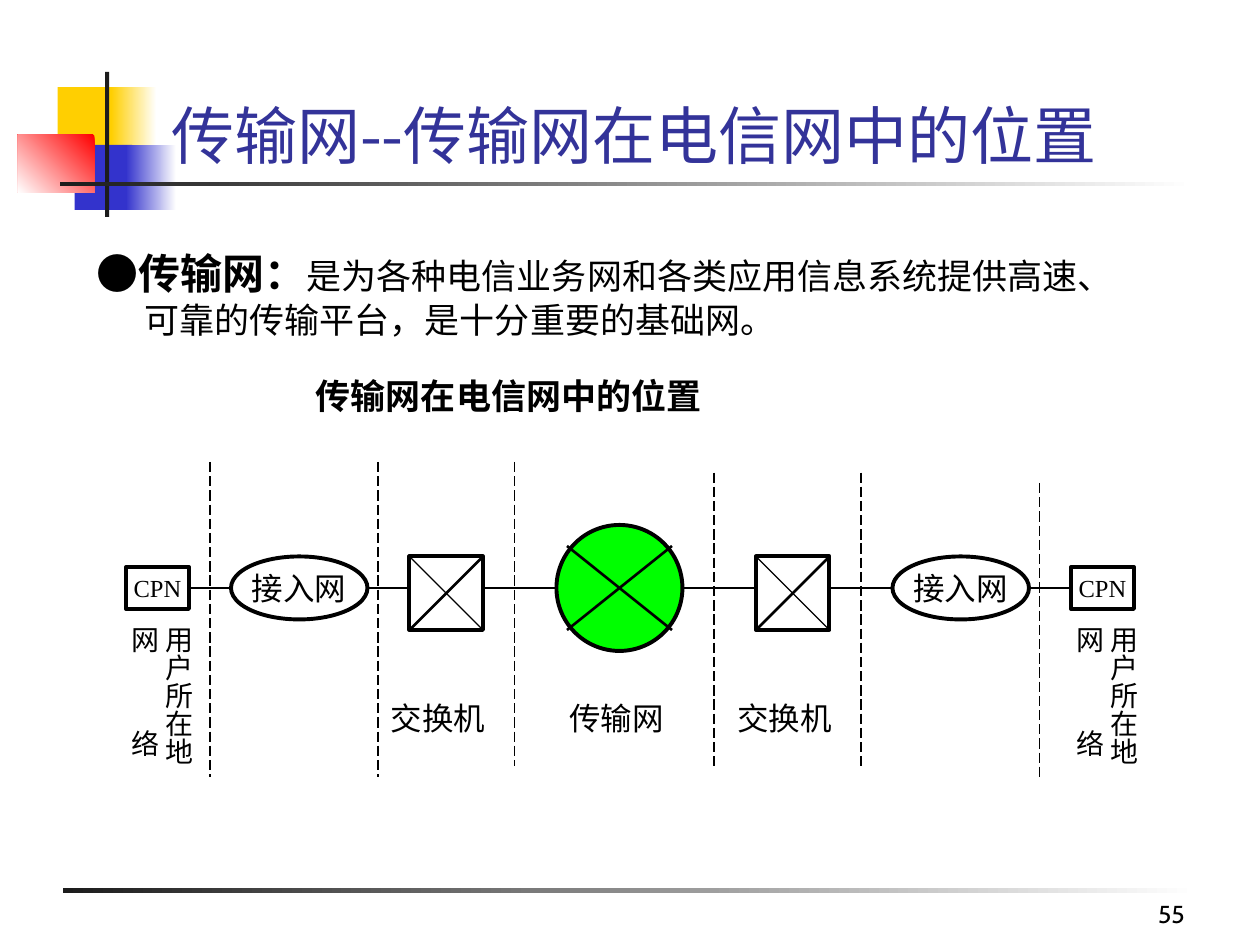
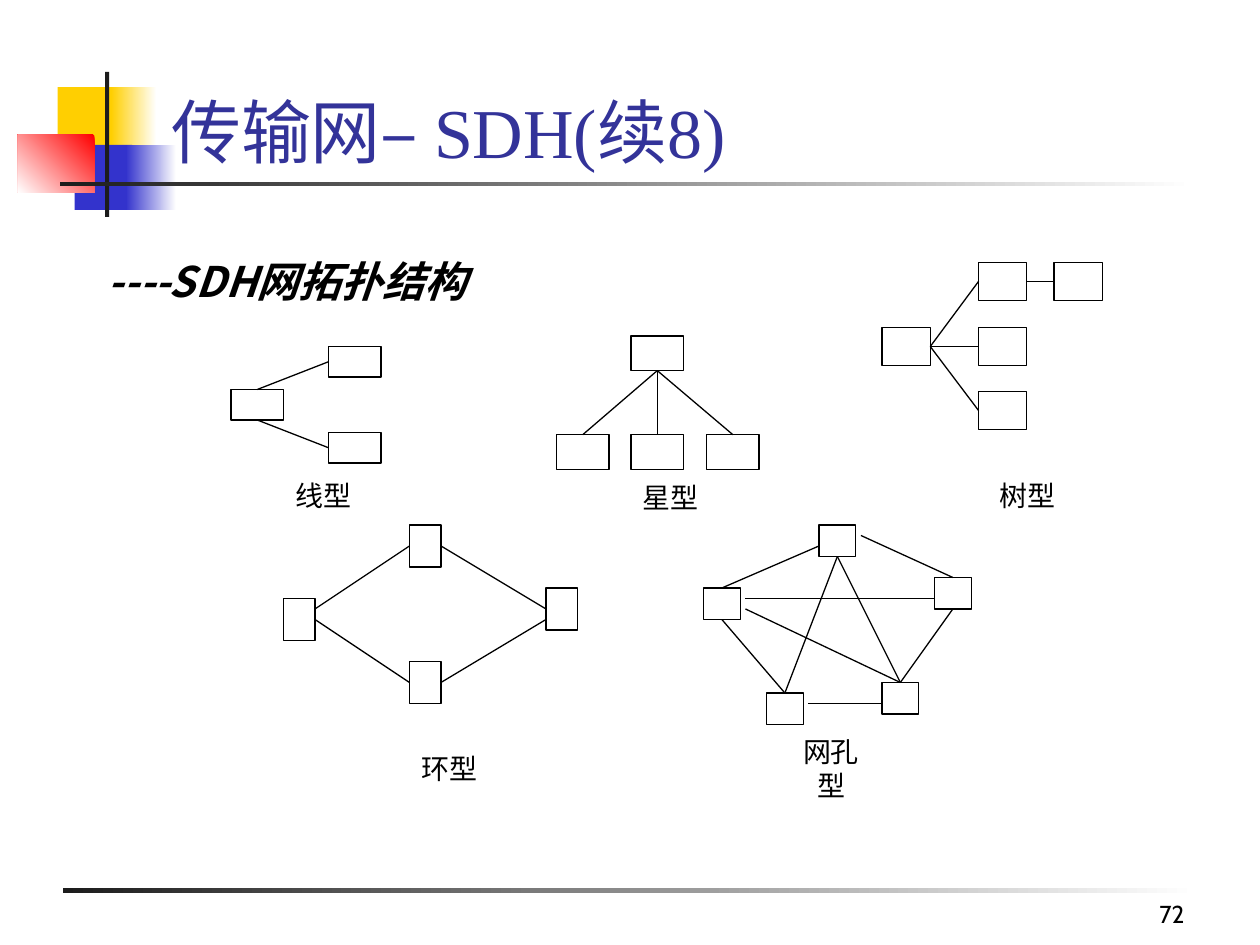
from dataclasses import dataclass
from pptx import Presentation
from pptx.dml.color import RGBColor as RGB
from pptx.enum.dml import MSO_LINE
from pptx.enum.shapes import MSO_CONNECTOR as CXN, MSO_SHAPE as SHP
from pptx.enum.text import MSO_ANCHOR as ANC, MSO_AUTO_SIZE as FIT, PP_ALIGN as ALN
from pptx.oxml.ns import qn
from pptx.util import Inches, Pt


@dataclass(frozen=True)
class Theme:
    ink: str = "000000"
    paper: str = "FFFFFF"
    title: str = "333399"
    gold: str = "FFCF01"
    blue: str = "3333CC"
    red: str = "FF0000"
    bar: str = "1C1C1C"
    green: str = "00FF00"
    han: str = "Noto Sans CJK SC"
    roman: str = "Times New Roman"
    sans: str = "Arial"
    foot: str = "Cabin"
    head: int = 24
    body: int = 20
    label: int = 18
    small: int = 16
    tiny: int = 14
    thin: float = 0.75
    mid: float = 1.5
    thick: float = 2.25


T = Theme()

# All lengths are cells of a 120 x 90 grid on the slide.
COLS, ROWS = 120, 90
WIDE, HIGH = 10, 7.5

# place, first colour, last colour (or None), angle
DECOR = [
    ((5.5, 8.3, 5.8, 6.2), T.gold, None, 0),
    ((10.6, 8.3, 4.3, 6.2), T.paper, T.gold, 180),
    ((7.1, 13.8, 5.5, 6.2), T.blue, None, 0),
    ((12, 13.8, 4.8, 6.2), T.paper, T.blue, 180),
    ((1.7, 12.85, 7.3, 5.5), T.red, T.paper, 225),
    ((10, 6.85, 0.4, 13.8), T.bar, None, 0),
    ((5.75, 17.3, 108, 0.4), T.paper, T.bar, 180),
    ((6, 84.6, 108, 0.45), T.paper, T.bar, 180),
]
TITLE = (15.1, 3, 102.2, 14)
BODY = (8, 23, 102, 54)
NUMBER = (89, 83, 25, 6)

# Slide one: the chain from user to user along one axis
AXIS = 56
SIZES = {"cpn": (54, 6, 4), "access": (53, 13, 6), "switch": (53, 7, 7), "core": (50, 12, 12)}
WORDS = {"cpn": ("CPN", T.tiny), "access": ("接入网", T.label)}
CHAIN = [("cpn", 12), ("access", 22), ("switch", 39), ("core", 53),
         ("switch", 72), ("access", 85), ("cpn", 102)]
BORDERS = [(20, 44, 74), (36, 44, 74), (49, 44, 73),
           (68, 45, 73), (82, 45, 73), (99, 46, 74)]
NAMES = [("交换机", 36), ("传输网", 53), ("交换机", 69)]
SITES = [11, 101]
SITE = ["用户所在地", "网\t络"]

# Slide two: an end is a box letter with its side, or a free point
NETS = [
    {"name": "线型", "label": (27, 45, 7.7), "size": (5, 2.9),
     "boxes": {"a": (22, 37.1), "b": (31.3, 33), "c": (31.3, 41.2)},
     "links": [("a0", "b1"), ("a2", "c1")]},
    {"name": "星型", "label": (60, 45.2, 7.7), "size": (5, 3.3),
     "boxes": {"a": (60.1, 32), "b": (53, 41.4), "c": (60.1, 41.4), "d": (67.3, 41.4)},
     "links": [("a2", "b0"), ("a2", "c0"), ("a2", "d0")]},
    {"name": "树型", "label": (94, 45, 7.7), "size": (4.6, 3.6),
     "boxes": {"a": (84, 31.2), "b": (93.2, 25), "c": (93.2, 31.2),
               "d": (93.2, 37.3), "e": (100.4, 25)},
     "links": [("a3", "b1"), ("a3", "c1"), ("a3", "d1"), ("b3", "e1")]},
    {"name": "环型", "label": (39, 71, 7.7), "size": (3, 4),
     "boxes": {"a": (27, 57), "b": (39, 50), "c": (39, 63), "d": (52, 56)},
     "links": [((30, 58), "b1"), ("a3", "c1"), ("b3", "d1"), ("c3", (52, 59))]},
    {"name": "网孔型", "label": (74, 71, 10.3), "size": (3.5, 3),
     "boxes": {"a": (67, 56), "b": (78, 50), "c": (73, 66), "d": (89, 55), "e": (84, 65)},
     "links": [("a0", (78, 52)), ("a2", "c0"), ((82, 51), "d0"), ("d2", "e0"),
               ("b2", "c0"), ("b2", "e0"), ((71, 57), (89, 57)),
               ((71, 58), "e0"), ((77, 67), (84, 67))]},
]


def gx(n):
    return Inches(n * WIDE / COLS)


def gy(n):
    return Inches(n * HIGH / ROWS)


def area(x, y, w, h):
    return gx(x), gy(y), gx(w), gy(h)


def style(run, size, face=T.roman, hue=T.ink, bold=False, slant=False):
    font = run.font
    font.size, font.bold, font.italic = Pt(size), bold, slant
    font.color.rgb = RGB.from_string(hue)
    font.name = face
    east = run._r.get_or_add_rPr().makeelement(qn("a:ea"), {"typeface": T.han})
    font._element.append(east)


def write(shape, text, size, face=T.roman, align=ALN.CENTER, anchor=ANC.MIDDLE, wrap=False):
    frame = shape.text_frame
    frame.text = text
    frame.word_wrap, frame.vertical_anchor = wrap, anchor
    for para in frame.paragraphs:
        para.alignment = align
        for run in para.runs:
            style(run, size, face)
    return frame


def label(slide, text, place, size):
    write(slide.shapes.add_textbox(*area(*place)), text, size)


def draw(slide, kind, place, fill=None, width=None):
    shape = slide.shapes.add_shape(kind, *area(*place))
    shape.shadow.inherit = False
    if fill:
        shape.fill.solid()
        shape.fill.fore_color.rgb = RGB.from_string(fill)
    else:
        shape.fill.background()
    if width:
        shape.line.color.rgb = RGB.from_string(T.ink)
        shape.line.width = Pt(width)
    else:
        shape.line.fill.background()
    return shape


def link(slide, start, end, width=T.thin, dash=None):
    """Draw a line between points or (shape, side) pairs."""
    free = [(0, 0) if hasattr(e[0], "shape_id") else e for e in (start, end)]
    (x1, y1), (x2, y2) = free
    line = slide.shapes.add_connector(CXN.STRAIGHT, gx(x1), gy(y1), gx(x2), gy(y2))
    for stop, join in ((start, line.begin_connect), (end, line.end_connect)):
        if hasattr(stop[0], "shape_id"):
            join(*stop)
    line.line.color.rgb = RGB.from_string(T.ink)
    line.line.width = Pt(width)
    if dash:
        line.line.dash_style = dash
    props = line._element.spPr
    props.append(props.makeelement(qn("a:effectLst"), {}))


def dress(layout, slide):
    """Draw the shared decor and move it to the layout, behind everything."""
    for i, (place, first, last, angle) in enumerate(DECOR):
        shape = draw(slide, SHP.RECTANGLE, place, first)
        if last:
            shape.fill.gradient()
            shape.fill.gradient_angle = angle
            for stop, hue in zip(shape.fill.gradient_stops, (first, last)):
                stop.color.rgb = RGB.from_string(hue)
        shape._element.nvSpPr.cNvPr.set("id", str(100 + i))
        layout.shapes.element.append(shape._element)


def place(holder, spot):
    holder.left, holder.top, holder.width, holder.height = area(*spot)
    holder.text_frame.auto_size = FIT.NONE


def start(slide, title, size, face, number):
    head = slide.shapes.title
    place(head, TITLE)
    frame = write(head, title, size, face, ALN.LEFT, ANC.BOTTOM, True)
    frame.paragraphs[0].runs[0].font.color.rgb = RGB.from_string(T.title)
    box = slide.shapes.add_textbox(*area(*NUMBER))
    write(box, number, T.tiny, T.foot, ALN.RIGHT, ANC.BOTTOM, True)


def fill_body(slide, paras, drop=0):
    """Each paragraph: left margin, indent, space before, line spacing, runs."""
    body = slide.placeholders[1]
    x, y, w, h = BODY
    place(body, (x, y + drop, w, h))
    frame = body.text_frame
    for i, (left, hang, before, lead, runs) in enumerate(paras):
        para = frame.add_paragraph() if i else frame.paragraphs[0]
        props = para._p.get_or_add_pPr()
        props.set("marL", str(Inches(left)))
        props.set("indent", str(Inches(hang)))
        props.append(props.makeelement(qn("a:buNone"), {}))
        para.space_before, para.line_spacing = Pt(before), lead
        for text, *look in runs:
            run = para.add_run()
            run.text = text
            style(run, *look)


def show_chain(slide):
    parts = []
    for kind, x in CHAIN:
        y, w, h = SIZES[kind]
        form = SHP.OVAL if kind in ("access", "core") else SHP.RECTANGLE
        hue = T.green if kind == "core" else T.paper
        shape = draw(slide, form, (x, y, w, h), hue, T.thick)
        if kind in WORDS:
            write(shape, *WORDS[kind])
        elif kind == "switch":
            link(slide, (x + w, y), (x, y + h), T.mid)
            link(slide, (x, y), (x + w, y + h))
        else:
            link(slide, (x + 1, y + 10), (x + 11, y + 2), T.mid)
            link(slide, (x + 1, y + 2), (x + 11, y + 10), T.mid)
        if kind == "cpn":
            parts.append(((shape, 1), (shape, 3)))
        else:
            parts.append(((x, AXIS), (x + w, AXIS)))
    for i, (one, two) in enumerate(zip(parts, parts[1:])):
        link(slide, one[1], two[0], T.thin if i else T.mid)
    for x, top, low in BORDERS:
        link(slide, (x, top), (x, low), dash=MSO_LINE.LONG_DASH)
    for name, x in NAMES:
        label(slide, name, (x, 66, 11.4, 4.8), T.label)
    for x in SITES:
        show_site(slide, x)


def show_site(slide, x):
    box = slide.shapes.add_textbox(*area(x, 58.4, 8.8, 17))
    frame = write(box, "\n".join(SITE), T.small, align=ALN.LEFT, wrap=True)
    frame.margin_left = frame.margin_right = Inches(0.05)
    frame.margin_top = frame.margin_bottom = Inches(0.1)
    frame._txBody.bodyPr.set("vert", "eaVert")
    props = frame.paragraphs[1]._p.get_or_add_pPr()
    tabs = props.makeelement(qn("a:tabLst"), {})
    tabs.append(tabs.makeelement(qn("a:tab"), {"pos": str(Inches(0.83)), "algn": "l"}))
    props.append(tabs)


def show_net(slide, net):
    boxes = {key: draw(slide, SHP.RECTANGLE, (*spot, *net["size"]), width=T.thin)
             for key, spot in net["boxes"].items()}
    for pair in net["links"]:
        ends = [(boxes[e[0]], int(e[1])) if isinstance(e, str) else e for e in pair]
        link(slide, *ends)
    label(slide, net["name"], (*net["label"], 4.4), T.small)


def main():
    deck = Presentation()
    deck.slide_width, deck.slide_height = Inches(WIDE), Inches(HIGH)
    layout = deck.slide_layouts[1]

    one = deck.slides.add_slide(layout)
    dress(layout, one)
    start(one, "传输网--传输网在电信网中的位置", 36, T.han, "55")
    fill_body(one, [
        (0.38, -0.38, 0, 1, [
            ("●", T.head, T.sans, T.ink, True),
            ("传输网：", T.head, T.han, T.ink, True),
            ("是为各种电信业务网和各类应用信息系统提供高速、可靠的传输平台，是十分重要的基础网。",
             T.body, T.han)]),
        (1.74, 0, 5, 1.6, [("传输网在电信网中的位置", T.body, T.han, T.ink, True)]),
    ])
    show_chain(one)

    two = deck.slides.add_slide(layout)
    start(two, "传输网– SDH(续8)", 40, T.roman, "72")
    fill_body(two, [(0.09, 0, 0, 1, [
        ("----SDH网拓扑结构", T.head, T.han, T.ink, True, True)])], 0.7)
    for net in NETS:
        show_net(two, net)

    deck.save("out.pptx")


if __name__ == "__main__":
    main()
